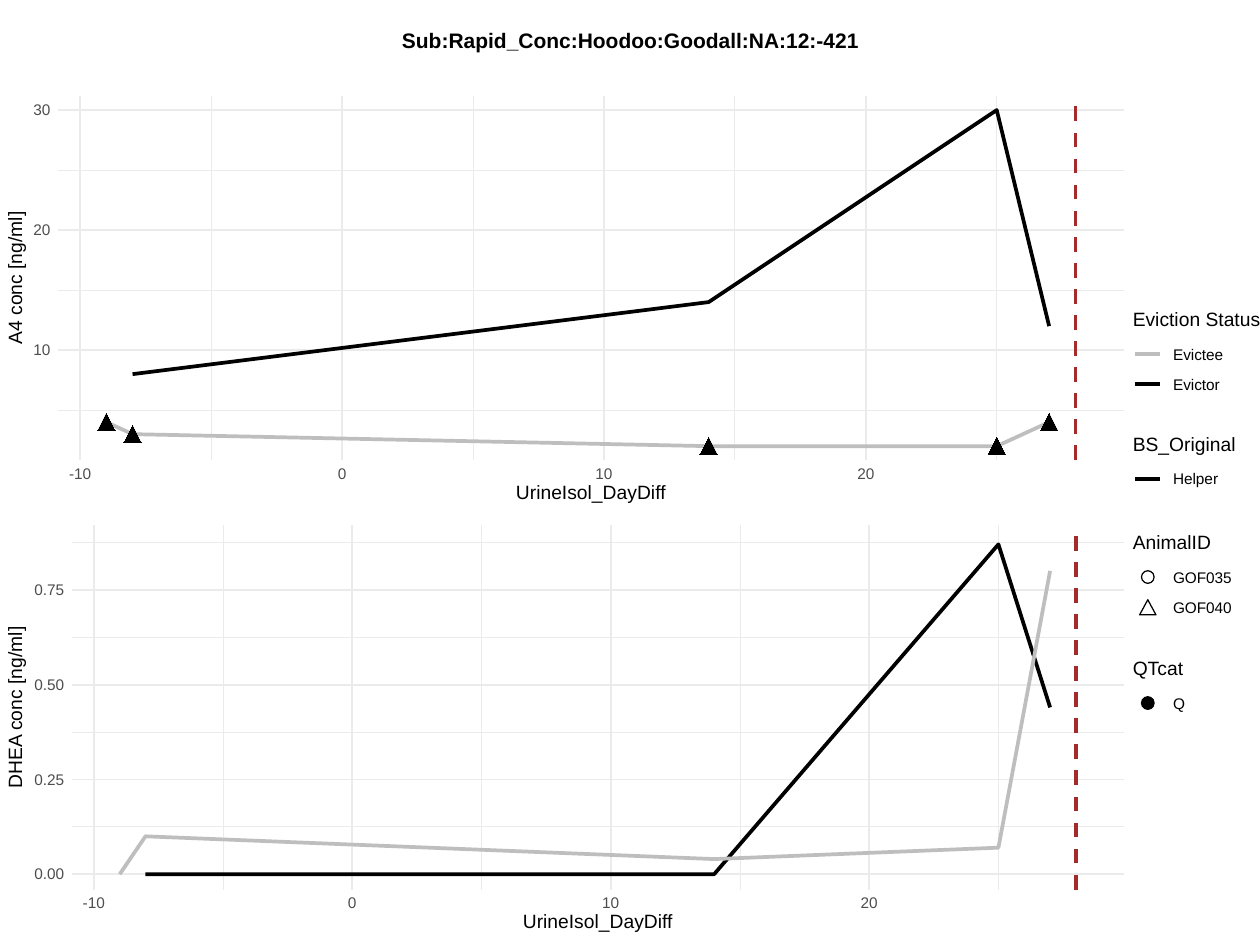
from pptx import Presentation
from pptx.chart.data import XyChartData
from pptx.dml.color import RGBColor as RGB
from pptx.enum.chart import XL_CHART_TYPE as Kind, XL_MARKER_STYLE as Mark
from pptx.enum.dml import MSO_LINE as Dash
from pptx.enum.shapes import MSO_CONNECTOR as Link, MSO_SHAPE as Form
from pptx.enum.text import MSO_ANCHOR as Anchor, MSO_AUTO_SIZE as Fit, PP_ALIGN as Align
from pptx.oxml import parse_xml
from pptx.oxml.ns import nsdecls, qn
from pptx.oxml.xmlchemy import OxmlElement
from pptx.util import Inches, Pt

BLACK = RGB(0, 0, 0)
WHITE = RGB(255, 255, 255)
GREY = RGB(0xBE, 0xBE, 0xBE)
PALE = RGB(0xEB, 0xEB, 0xEB)
DARK = RGB(0x4D, 0x4D, 0x4D)
BROWN = RGB(0xA5, 0x2A, 0x2A)
FONT = "Arial"
WIDE, HIGH = 10, 7.5
LINE, EDGE, MAJOR, MINOR = 2.13, 0.71, 1.07, 0.53
LARGE, SMALL = 11, 8.8
DOT, TRI = (Mark.CIRCLE, 8), (Mark.TRIANGLE, 10)
EVENT, X_MIN, X_MAX = 28, -10.85, 29.85
X_MAJOR, X_MINOR = (-10, 0, 10, 20), (-5, 5, 15, 25)

PANELS = [
    dict(name="A4 conc [ng/ml]", left=0.46, low=0.87, high=31.2, form="{:.0f}",
         major=(10, 20, 30), minor=(5, 15, 25),
         evictor=[(-8, 8), (14, 14), (25, 30), (27, 12)],
         evictee=[(-9, 4), (-8, 3), (14, 2), (25, 2), (27, 4)],
         hollow=[]),
    dict(name="DHEA conc [ng/ml]", left=0.57, low=-0.04, high=0.92, form="{:.2f}",
         major=(0, 0.25, 0.5, 0.75), minor=(0.125, 0.375, 0.625, 0.875),
         evictor=[(-8, 0), (14, 0), (25, 0.87), (27, 0.44)],
         evictee=[(-9, 0), (-8, 0.1), (14, 0.04), (25, 0.07), (27, 0.8)],
         hollow=[(-9, 0), (-8, 0), (14, 0)]),
]
GROUPS = [
    (2.53, "Eviction Status", [("Evictee", "line", GREY), ("Evictor", "line", BLACK)]),
    (3.52, "BS_Original", [("Helper", "line", BLACK)]),
    (4.3, "AnimalID", [("GOF035", "dot", None), ("GOF040", "tri", None)]),
    (5.3, "QTcat", [("Q", "dot", BLACK)]),
]


def write(frame, words, size, color=BLACK, bold=False, align=Align.LEFT):
    frame.text = words
    frame.word_wrap, frame.auto_size = False, Fit.NONE
    frame.vertical_anchor = Anchor.MIDDLE
    frame.margin_left = frame.margin_right = frame.margin_top = frame.margin_bottom = 0
    para = frame.paragraphs[0]
    para.alignment = align
    font = para.runs[0].font
    font.name, font.size, font.bold = FONT, Pt(size), bold
    font.color.rgb = color


def label(slide, box, words, size, turn=0, **style):
    item = slide.shapes.add_textbox(*map(Inches, box))
    item.rotation = turn
    write(item.text_frame, words, size, **style)


def stroke(line, color, width):
    line.color.rgb, line.width = color, Pt(width)


def rule(slide, ends, color, width):
    item = slide.shapes.add_connector(Link.STRAIGHT, *map(Inches, ends))
    item._element.spPr.append(OxmlElement("a:effectLst"))
    stroke(item.line, color, width)
    return item


def clear(node, index):
    node.insert(index, parse_xml(
        f'<c:spPr {nsdecls("c", "a")}><a:noFill/><a:ln><a:noFill/></a:ln></c:spPr>'))


def fill_box(area):
    for old in area.findall(qn("c:layout")):
        area.remove(old)
    tags = "".join(f'<c:{k} val="{v}"/>' for k, v in (
        ("layoutTarget", "inner"), ("xMode", "edge"), ("yMode", "edge"),
        ("x", 0), ("y", 0), ("w", 1), ("h", 1)))
    area.insert(0, parse_xml(
        f'<c:layout {nsdecls("c")}><c:manualLayout>{tags}</c:manualLayout></c:layout>'))


def tracks(info):
    rows = []
    for who, (mark, size) in (("evictor", DOT), ("evictee", TRI)):
        full = [p for p in info[who] if p not in info["hollow"]]
        open_ = [p for p in info[who] if p in info["hollow"]]
        rows.append((who + " Q", full, BLACK, (mark, size)))
        if open_:
            rows.append((who + " open", open_, WHITE, (mark, size - 2)))
            rows.append((who + " edge", open_, BLACK, (mark, size)))
    rows.append(("Evictee", info["evictee"], GREY, None))
    rows.append(("Evictor", info["evictor"], BLACK, None))
    return rows


def plot(slide, box, info):
    rows = tracks(info)
    data = XyChartData()
    for name, points, _, _ in rows:
        row = data.add_series(name)
        for x, y in points:
            row.add_data_point(x, y)
    chart = slide.shapes.add_chart(Kind.XY_SCATTER_LINES, *map(Inches, box), data).chart
    chart.has_legend = chart.has_title = False
    chart.font.name, chart.font.size = FONT, Pt(SMALL)
    group = chart.plots[0]
    group.vary_by_categories = False
    for row, (_, _, color, mark) in zip(group.series, rows):
        if mark:
            row.format.line.fill.background()
            row.marker.style, row.marker.size = mark
            row.marker.format.fill.solid()
            row.marker.format.fill.fore_color.rgb = color
            stroke(row.marker.format.line, color, EDGE)
        else:
            stroke(row.format.line, color, LINE)
            row.marker.style = Mark.NONE
    for axis, low, high in ((chart.category_axis, X_MIN, X_MAX),
                            (chart.value_axis, info["low"], info["high"])):
        axis.minimum_scale, axis.maximum_scale = low, high
        axis.has_major_gridlines = axis.has_minor_gridlines = False
        axis.visible = False
    space = chart._chartSpace
    area = space.chart.plotArea
    fill_box(area)
    clear(area, len(area))
    clear(space, space.index(space.chart) + 1)


def panel(slide, box, info):
    left, top, wide, high = box
    right, base = left + wide, top + high

    def across(x):
        return left + wide * (x - X_MIN) / (X_MAX - X_MIN)

    def down(y):
        return base - high * (y - info["low"]) / (info["high"] - info["low"])

    for ys, xs, width in ((info["minor"], X_MINOR, MINOR), (info["major"], X_MAJOR, MAJOR)):
        for y in map(down, ys):
            rule(slide, (left, y, right, y), PALE, width)
        for x in map(across, xs):
            rule(slide, (x, base, x, top), PALE, width)
    plot(slide, box, info)
    event = across(EVENT)
    rule(slide, (event, base, event, top), BROWN, LINE).line.dash_style = Dash.DASH
    for y in info["major"]:
        label(slide, (left - 0.31, down(y) - 0.05, 0.25, 0.09), info["form"].format(y), SMALL,
              color=DARK, align=Align.RIGHT)
    for x in X_MAJOR:
        label(slide, (across(x) - 0.1, base + 0.06, 0.2, 0.09), str(x), SMALL,
              color=DARK, align=Align.CENTER)
    label(slide, (left + wide / 2 - 0.6, base + 0.18, 1.2, 0.14), "UrineIsol_DayDiff", LARGE,
          align=Align.CENTER)
    label(slide, (0.115 - 0.65, top + high / 2 - 0.07, 1.3, 0.14), info["name"], LARGE,
          turn=270, align=Align.CENTER)


def key(slide, mid, y, kind, color):
    if kind == "line":
        rule(slide, (mid - 0.1, y, mid + 0.1, y), color, LINE)
        return
    form, w, h = (Form.OVAL, 0.1, 0.1) if kind == "dot" else (Form.ISOSCELES_TRIANGLE, 0.13, 0.12)
    item = slide.shapes.add_shape(form, *map(Inches, (mid - w / 2, y - h / 2, w, h)))
    item.shadow.inherit = False
    stroke(item.line, BLACK, EDGE)
    if color is None:
        item.fill.background()
    else:
        item.fill.solid()
        item.fill.fore_color.rgb = color


def legend(slide, box):
    left, top, wide, _ = box
    for drop, head, items in GROUPS:
        label(slide, (left, top + drop - 0.07, wide, 0.14), head, LARGE)
        for i, (words, kind, color) in enumerate(items):
            y = top + drop + 0.28 + 0.24 * i
            key(slide, left + 0.12, y, kind, color)
            label(slide, (left + 0.32, y - 0.07, wide - 0.32, 0.14), words, SMALL)


def heading(slide, box):
    title = slide.shapes.title
    title.left, title.top, title.width, title.height = map(Inches, box)
    write(title.text_frame, "Sub:Rapid_Conc:Hoodoo:Goodall:NA:12:-421", 12, bold=True,
          align=Align.CENTER)


def main():
    deck = Presentation()
    deck.slide_width, deck.slide_height = Inches(WIDE), Inches(HIGH)
    slide = deck.slides.add_slide(deck.slide_layouts[5])
    slide.background.fill.solid()
    slide.background.fill.fore_color.rgb = WHITE
    heading(slide, (3.19, 0.24, 3.63, 0.15))
    for i, info in enumerate(PANELS):
        panel(slide, (info["left"], 0.76 + 3.41 * i, 8.92 - info["left"], 2.89), info)
    legend(slide, (8.99, 0, WIDE - 8.99, HIGH))
    deck.save("out.pptx")


if __name__ == "__main__":
    main()
